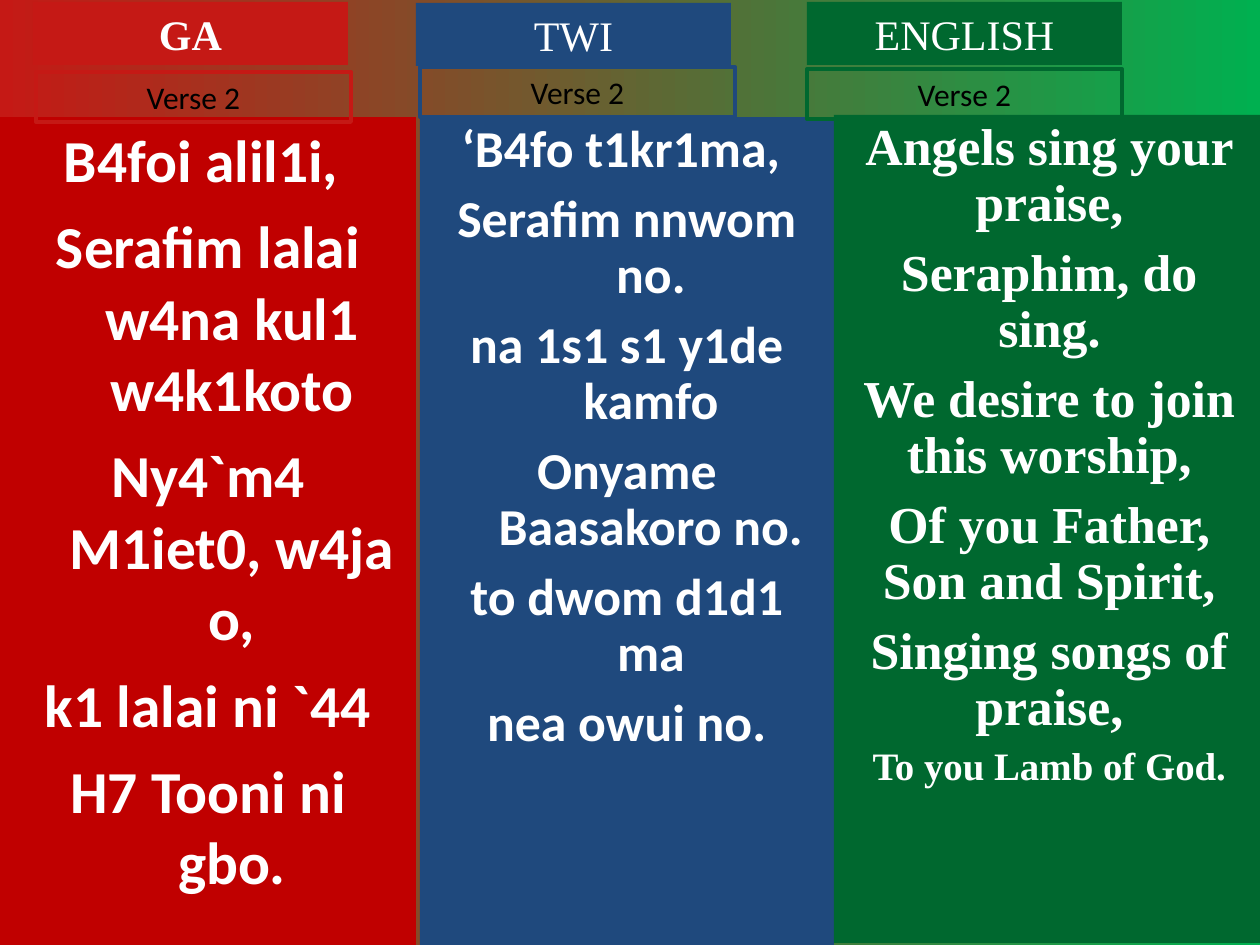
from pptx import Presentation
from pptx.dml.color import RGBColor
from pptx.enum.shapes import MSO_SHAPE
from pptx.enum.text import MSO_ANCHOR, PP_ALIGN
from pptx.util import Pt

PX = 914400 // 126
HEX = {"red": "C00000", "rose": "C51915", "blue": "1F497D", "green": "00682F",
       "lime": "00B050", "white": "FFFFFF", "black": "000000"}
SERIF, SANS = "Times New Roman", "Calibri"
HEAD, VERSE = (315, 63), (315, 50)
LANGS = [
    dict(name="GA", bold=True, tint="rose", head=(33, 2), verse=(36, 72),
         body=(0, 117, 416, 828), fill="red",
         form=dict(size=34, font=SANS, gap=8.5, hang=48),
         lines=["B4foi alil1i, ", "Serafim lalai w4na kul1 w4k1koto",
                "Ny4`m4 M1iet0, w4ja o,", "k1 lalai ni `44",
                "H7 Tooni ni gbo."]),
    dict(name="TWI", bold=False, tint="blue", head=(416, 3), verse=(420, 67),
         body=(420, 117, 414, 828), fill="blue",
         form=dict(size=29.6, font=SANS, gap=8, hang=48, lead=0.9),
         lines=["‘B4fo t1kr1ma, ", "Serafim nnwom no.",
                "na 1s1 s1 y1de kamfo", "Onyame Baasakoro no.",
                "to dwom d1d1 ma", "nea owui no."]),
    dict(name="ENGLISH", bold=False, tint="green", head=(807, 2), verse=(807, 69),
         body=(834, 115, 431, 828), fill="green",
         form=dict(size=29.6, font=SERIF, gap=8, lead=0.9, last=(22.2, 6)),
         lines=["Angels sing your praise,", "Seraphim, do sing.",
                "We desire to join this worship,",
                "Of you Father, Son and Spirit,",
                "Singing songs of praise,", "To you Lamb of God."]),
]


def color(name):
    return RGBColor.from_string(HEX[name])


def block(slide, spot, fill=None, edge=None):
    shape = slide.shapes.add_shape(MSO_SHAPE.RECTANGLE, *(n * PX for n in spot))
    shape.shadow.inherit = False
    if fill:
        shape.fill.solid()
        shape.fill.fore_color.rgb = color(fill)
    else:
        shape.fill.background()
    if edge:
        shape.line.color.rgb = color(edge)
        shape.line.width = Pt(2.25)
    else:
        shape.line.fill.background()
    return shape


def write(shape, lines, size, font, ink="white", bold=False, gap=0, hang=0,
          lead=None, last=None):
    frame = shape.text_frame
    frame.word_wrap = True
    frame.vertical_anchor = MSO_ANCHOR.TOP
    for i, line in enumerate(lines):
        para = frame.paragraphs[0] if i == 0 else frame.add_paragraph()
        if last and i == len(lines) - 1:
            size, gap = last
        para.alignment = PP_ALIGN.CENTER
        if i and gap:
            para.space_before = Pt(gap)
        if lead:
            para.line_spacing = lead
        if hang:
            props = para._p.get_or_add_pPr()
            props.set("marL", str(hang * PX))
            props.set("indent", str(-hang * PX))
        run = para.add_run()
        run.text = line
        run.font.size = Pt(size)
        run.font.name = font
        run.font.bold = bold
        run.font.color.rgb = color(ink)


def main():
    deck = Presentation()
    deck.slide_width, deck.slide_height = 1260 * PX, 945 * PX
    slide = deck.slides.add_slide(deck.slide_layouts[6])
    back = slide.background.fill
    back.gradient()
    back.gradient_angle = 0
    for stop, name in zip(back.gradient_stops, ("rose", "lime")):
        stop.color.rgb = color(name)
    for lang in LANGS:
        body = block(slide, lang["body"], fill=lang["fill"])
        write(body, lang["lines"], bold=True, **lang["form"])
    for lang in LANGS:
        head = block(slide, lang["head"] + HEAD, fill=lang["tint"])
        write(head, [lang["name"]], size=24, font=SERIF, bold=lang["bold"])
        verse = block(slide, lang["verse"] + VERSE, edge=lang["tint"])
        write(verse, ["Verse 2"], size=18, font=SANS, ink="black")
    deck.save("out.pptx")


if __name__ == "__main__":
    main()
